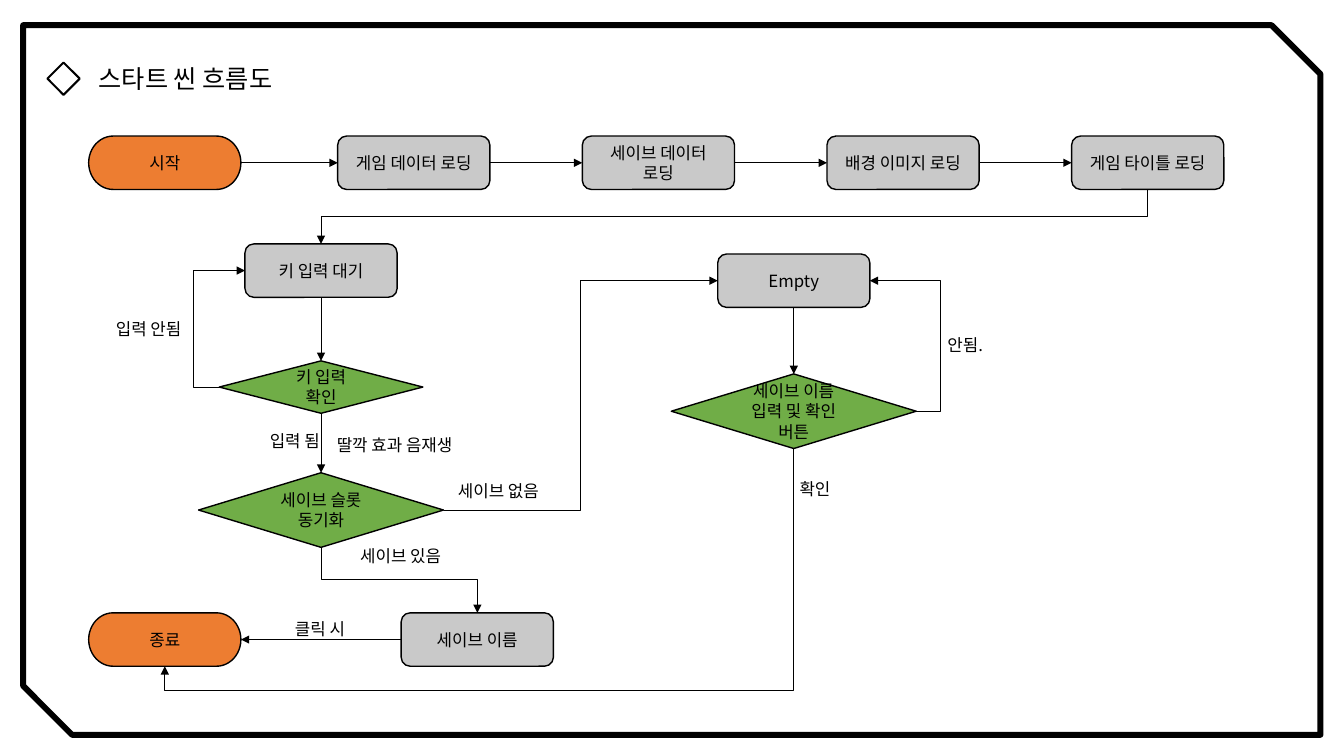
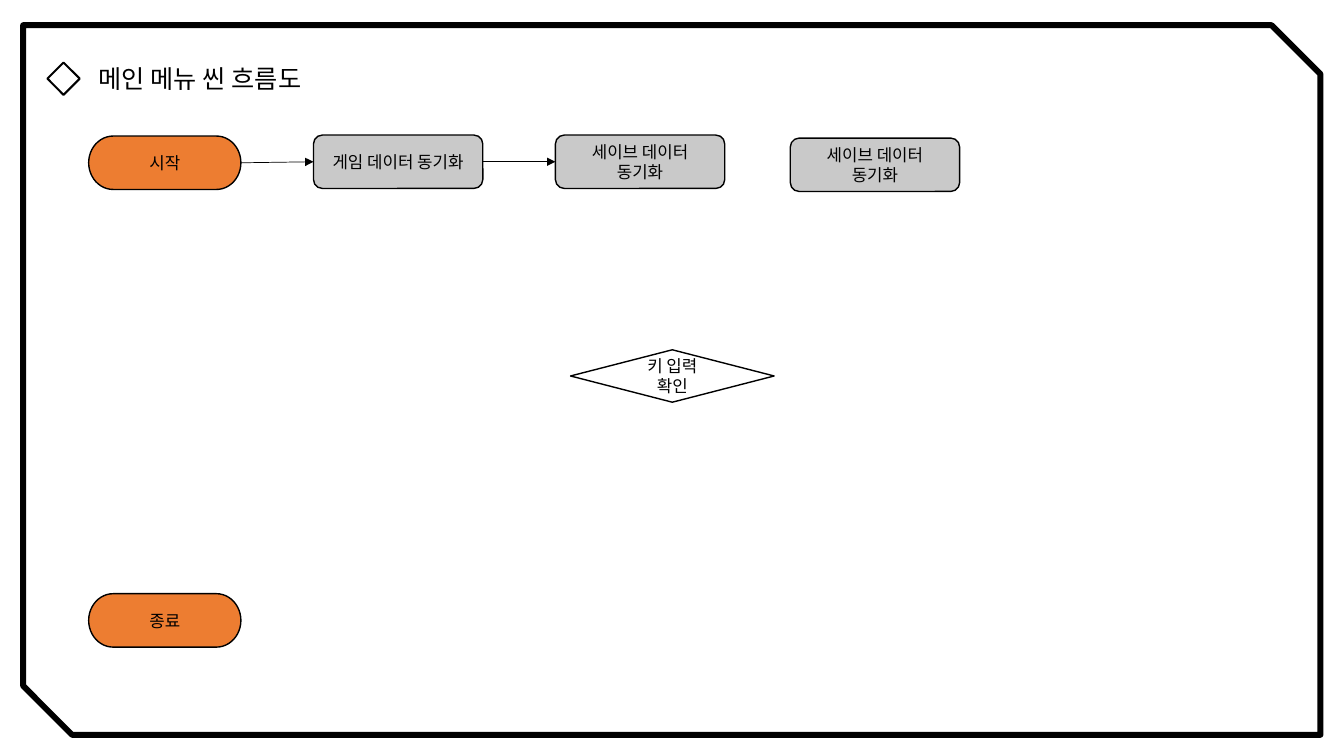
"""Build two slides of scene flow charts for a game."""
from dataclasses import dataclass
from typing import NamedTuple, Optional

from lxml import etree
from pptx import Presentation
from pptx.dml.color import RGBColor
from pptx.enum.shapes import MSO_CONNECTOR, MSO_SHAPE
from pptx.enum.text import MSO_ANCHOR, MSO_AUTO_SIZE, PP_ALIGN
from pptx.oxml.ns import qn
from pptx.util import Inches, Pt

STRAIGHT, ELBOW = MSO_CONNECTOR.STRAIGHT, MSO_CONNECTOR.ELBOW
DIAMOND, SNIP = MSO_SHAPE.DIAMOND, MSO_SHAPE.SNIP_2_DIAG_RECTANGLE
OVAL = MSO_SHAPE.FLOWCHART_TERMINATOR
ROUND = MSO_SHAPE.FLOWCHART_ALTERNATE_PROCESS
CHOICE = MSO_SHAPE.FLOWCHART_DECISION
LEFT, CENTER = PP_ALIGN.LEFT, PP_ALIGN.CENTER
MIDDLE, FIXED = MSO_ANCHOR.MIDDLE, MSO_AUTO_SIZE.NONE
TOP_SIDE, LEFT_SIDE, LOW_SIDE, RIGHT_SIDE = range(4)

COLS, ROWS = 133.33, 75
CELL = Inches(0.1)


@dataclass(frozen=True)
class Theme:
    """Colours, type and line widths of the deck."""
    font: str = "Noto Sans CJK KR"
    ink: str = "000000"
    orange: str = "ED7D31"
    gray: str = "C9C9C9"
    green: str = "70AD47"
    title: float = 18
    body: float = 12
    frame: float = 4.25
    mark: float = 1.5
    edge: float = 1
    link: float = 0.5


THEME = Theme()


class Area(NamedTuple):
    """Place and size in grid cells."""
    col: float
    row: float
    wide: float
    high: float


class Kind(NamedTuple):
    """Outline, fill and size of a step."""
    form: int
    fill: Optional[str]
    wide: float
    high: float


class Node(NamedTuple):
    """One step of a flow chart."""
    key: str
    kind: Kind
    col: float
    row: float
    text: str


class Link(NamedTuple):
    """Arrow between two steps, with an optional bend line."""
    start: str
    out: int
    end: str
    into: int
    bend: Optional[float] = None


class Label(NamedTuple):
    """Note beside an arrow."""
    col: float
    row: float
    text: str
    wide: float = 10.7


class Scene(NamedTuple):
    """Content of one slide."""
    title: str
    nodes: list[Node]
    links: list[Link]
    labels: list[Label]


END = Kind(OVAL, THEME.orange, 15.1, 5.3)
STEP = Kind(ROUND, THEME.gray, 15.1, 5.3)
SYNC = STEP._replace(wide=16.8)
CHECK = Kind(CHOICE, THEME.green, 20.2, 5.2)
PLAIN = CHECK._replace(fill=None)
WIDE = Kind(CHOICE, THEME.green, 24.3, 7.4)

FRAME = Area(2.3, 2.5, 128.7, 70.4)
MARK = Area(4.7, 6.2, 3.2, 3.2)
TITLE = Area(8.8, 5.4, 116.7, 4.7)
EDGE_COL, TOP_ROW = 8.8, 13.5
LOAD_COL, LOAD_GAP = 33.5, 24.27
LOADS = ["게임 데이터 로딩", "세이브 데이터 로딩", "배경 이미지 로딩", "게임 타이틀 로딩"]
CHAIN = ["start"] + [f"load{i}" for i in range(len(LOADS))]

SCENES = [
    Scene(
        "스타트 씬 흐름도",
        [
            Node("start", END, EDGE_COL, TOP_ROW, "시작"),
            Node("end", END, EDGE_COL, 60.8, "종료"),
            *(Node(f"load{i}", STEP, LOAD_COL + i * LOAD_GAP, TOP_ROW, text)
              for i, text in enumerate(LOADS)),
            Node("wait", STEP, 24.3, 24.2, "키 입력 대기"),
            Node("key", CHECK, 21.75, 35.8, "키 입력 확인"),
            Node("slot", WIDE, 19.7, 46.9, "세이브 슬롯\n동기화"),
            Node("name", STEP, 39.8, 60.8, "세이브 이름"),
            Node("empty", STEP, 71.2, 25.2, "Empty"),
            Node("enter", WIDE, 66.6, 37.1, "세이브 이름 입력 및 확인 버튼"),
        ],
        [
            *(Link(a, RIGHT_SIDE, b, LEFT_SIDE)
              for a, b in zip(CHAIN, CHAIN[1:])),
            Link(CHAIN[-1], LOW_SIDE, "wait", TOP_SIDE, 21.5),
            Link("wait", LOW_SIDE, "key", TOP_SIDE),
            Link("key", LEFT_SIDE, "wait", LEFT_SIDE, 19.2),
            Link("key", LOW_SIDE, "slot", TOP_SIDE),
            Link("slot", RIGHT_SIDE, "empty", LEFT_SIDE, 57.6),
            Link("slot", LOW_SIDE, "name", TOP_SIDE, 57.5),
            Link("name", LEFT_SIDE, "end", RIGHT_SIDE),
            Link("empty", LOW_SIDE, "enter", TOP_SIDE),
            Link("enter", RIGHT_SIDE, "empty", RIGHT_SIDE, 93.3),
            Link("enter", LOW_SIDE, "end", LOW_SIDE, 68.5),
        ],
        [
            Label(34.4, 53.6, "세이브 있음"),
            Label(44.1, 47.1, "세이브 없음"),
            Label(26.4, 60.8, "클릭 시"),
            Label(23.9, 42.2, "입력 됨"),
            Label(9.4, 31.1, "입력 안됨"),
            Label(75.5, 46.9, "확인"),
            Label(90.4, 32.7, "안됨."),
            Label(31.6, 42.6, "딸깍 효과 음재생", 15.1),
        ],
    ),
    Scene(
        "메인 메뉴 씬 흐름도",
        [
            Node("start", END, EDGE_COL, TOP_ROW, "시작"),
            Node("end", END, EDGE_COL, 58.9, "종료"),
            Node("key", PLAIN, 56.6, 34.7, "키 입력 확인"),
            Node("game", SYNC, 31.1, 13.4, "게임 데이터 동기화"),
            Node("save", SYNC, 55.1, 13.4, "세이브 데이터 동기화"),
            Node("spare", SYNC, 78.4, 13.7, "세이브 데이터 동기화"),
        ],
        [
            Link("start", RIGHT_SIDE, "game", LEFT_SIDE),
            Link("game", RIGHT_SIDE, "save", LEFT_SIDE),
        ],
        [],
    ),
]


def cells(count: float) -> int:
    """Turn a count of grid cells into a length."""
    return round(count * CELL)


def place(area: Area) -> list[int]:
    """Turn an area of the grid into lengths."""
    return [cells(side) for side in area]


def write(shape, text: str, size: float, align: int) -> None:
    """Set the text of a shape in the deck's type."""
    frame = shape.text_frame
    frame.text = text
    frame.word_wrap = True
    frame.auto_size = FIXED
    frame.vertical_anchor = MIDDLE
    for para in frame.paragraphs:
        para.alignment = align
        para.font.name = THEME.font
        para.font.size = Pt(size)
        para.font.color.rgb = RGBColor.from_string(THEME.ink)
        props = para._p.pPr.find(qn("a:defRPr"))
        etree.SubElement(props, qn("a:ea"), typeface=THEME.font)


def draw_form(slide, form: int, area: Area, fill: Optional[str], width: float):
    """Draw an outlined preset shape."""
    shape = slide.shapes.add_shape(form, *place(area))
    shape.shadow.inherit = False
    if fill:
        shape.fill.solid()
        shape.fill.fore_color.rgb = RGBColor.from_string(fill)
    else:
        shape.fill.background()
    shape.line.color.rgb = RGBColor.from_string(THEME.ink)
    shape.line.width = Pt(width)
    return shape


def draw_node(slide, node: Node):
    """Draw one step with its text."""
    kind = node.kind
    area = Area(node.col, node.row, kind.wide, kind.high)
    shape = draw_form(slide, kind.form, area, kind.fill, THEME.edge)
    write(shape, node.text, THEME.body, CENTER)
    return shape


def bend_line(line, bend: int, upright: bool) -> None:
    """Move the middle part of an elbow arrow to the bend line."""
    x1, y1, x2, y2 = line.begin_x, line.begin_y, line.end_x, line.end_y
    first, last = (y1, y2) if upright else (x1, x2)
    props = line._element.spPr
    if upright:
        wide, high = abs(y2 - y1), abs(x2 - x1)
        line.left, line.top = (x1 + x2 - wide) // 2, (y1 + y2 - high) // 2
        line.width, line.height = wide, high
        frame = props.find(qn("a:xfrm"))
        frame.attrib.pop("flipV", None)
        frame.attrib.pop("flipH", None)
        frame.set("rot", str((90 if x2 < x1 else 270) * 60000))
        if x2 > x1:
            frame.set("flipH", "1")
    guides = props.find(qn("a:prstGeom")).find(qn("a:avLst"))
    share = round((bend - first) / (last - first) * 100000)
    etree.SubElement(guides, qn("a:gd"), name="adj1", fmla=f"val {share}")


def draw_link(slide, link: Link, steps: dict) -> None:
    """Draw an arrow glued to two steps."""
    form = STRAIGHT if link.bend is None else ELBOW
    line = slide.shapes.add_connector(form, 0, 0, 0, 0)
    line.begin_connect(steps[link.start], link.out)
    line.end_connect(steps[link.end], link.into)
    if link.bend is not None:
        bend_line(line, cells(link.bend), link.out in (TOP_SIDE, LOW_SIDE))
    line.line.color.rgb = RGBColor.from_string(THEME.ink)
    line.line.width = Pt(THEME.link)
    props = line._element.spPr
    etree.SubElement(props.find(qn("a:ln")), qn("a:tailEnd"), type="triangle")
    etree.SubElement(props, qn("a:effectLst"))


def draw_label(slide, label: Label) -> None:
    """Write a note beside an arrow."""
    area = Area(label.col, label.row, label.wide, 3.1)
    write(slide.shapes.add_textbox(*place(area)), label.text, THEME.body, CENTER)


def draw_base(slide, text: str) -> None:
    """Draw the frame, the mark and the title."""
    frame = draw_form(slide, SNIP, FRAME, None, THEME.frame)
    frame.adjustments[0], frame.adjustments[1] = 0, 0.069
    draw_form(slide, DIAMOND, MARK, None, THEME.mark)
    title = slide.shapes.title
    title.left, title.top, title.width, title.height = place(TITLE)
    write(title, text, THEME.title, LEFT)


def main() -> None:
    """Build the deck and save it."""
    deck = Presentation()
    deck.slide_width, deck.slide_height = cells(COLS), cells(ROWS)
    for scene in SCENES:
        slide = deck.slides.add_slide(deck.slide_layouts[5])
        draw_base(slide, scene.title)
        steps = {node.key: draw_node(slide, node) for node in scene.nodes}
        for link in scene.links:
            draw_link(slide, link, steps)
        for label in scene.labels:
            draw_label(slide, label)
    deck.save("out.pptx")


if __name__ == "__main__":
    main()
